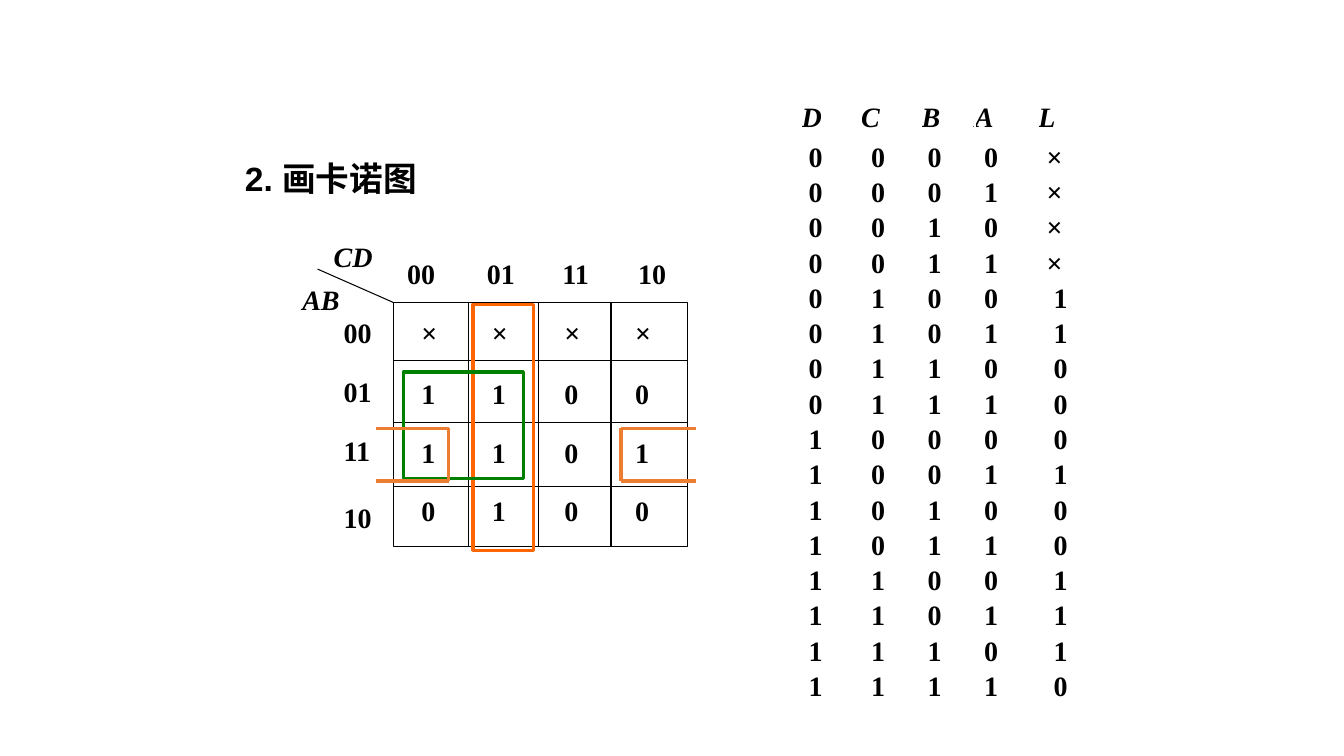
from lxml.etree import SubElement
from pptx import Presentation
from pptx.dml.color import RGBColor
from pptx.enum.shapes import MSO_CONNECTOR, MSO_SHAPE
from pptx.enum.text import MSO_ANCHOR, PP_ALIGN
from pptx.oxml.ns import qn
from pptx.util import Inches, Pt

BLACK = RGBColor(0x00, 0x00, 0x00)
GREEN = RGBColor(0x00, 0x80, 0x00)
ORANGE = RGBColor(0xFF, 0x66, 0x00)
SOFT_ORANGE = RGBColor(0xED, 0x7D, 0x31)

GRAY_CODE = ["00", "01", "11", "10"]
MAP_ROWS = ["××××", "1100", "1101", "0100"]

# Offsets from the left and top edges of the map
COLUMN_EDGES = [0, 0.75, 1.44, 2.16, 2.92]
ROW_EDGES = [0, 0.58, 1.19, 1.83, 2.42]
COLUMN_LABELS = [0.04, 0.83, 1.58, 2.33]
ROW_LABELS = [0.08, 0.67, 1.25, 1.92]
CELL_LEFTS = [0.18, 0.88, 1.6, 2.3]
CELL_TOPS = [0.08, 0.69, 1.27, 1.85]

# Truth table: letter, column width, indent of the values
TRUTH_COLUMNS = [("D", 0.59, 0.07), ("C", 0.6, 0.1), ("B", 0.53, 0.06),
                 ("A", 0.63, 0.09), ("L", 0.6, 0.15)]
OUTPUTS = "××××110001001110"


def write(para, text, **changes):
    span = para.add_run()
    span.text = text
    formats = {"name": "Times New Roman", "size": Pt(20), "bold": True,
               "italic": False, **changes}
    for name, value in formats.items():
        setattr(span.font, name, value)
    span.font.color.rgb = BLACK


def add_label(page, left, top, text, width=0.48, **changes):
    box = page.shapes.add_textbox(Inches(left), Inches(top),
                                  Inches(width), Inches(0.44))
    box.text_frame.word_wrap = True
    write(box.text_frame.paragraphs[0], text, **changes)


def add_line(page, start, end, color=BLACK, weight=0.75):
    points = [Inches(value) for value in (*start, *end)]
    line = page.shapes.add_connector(MSO_CONNECTOR.STRAIGHT, *points)
    line.line.color.rgb = color
    line.line.width = Pt(weight)
    SubElement(line._element.spPr, qn("a:effectLst"))


def add_frame(page, left, top, width, height, color=BLACK, weight=0.75):
    frame = page.shapes.add_shape(MSO_SHAPE.RECTANGLE, Inches(left), Inches(top),
                                  Inches(width), Inches(height))
    frame.shadow.inherit = False
    frame.fill.background()
    frame.line.color.rgb = color
    frame.line.width = Pt(weight)


def add_title(page, left, top, width, height):
    title = page.shapes.title
    place = {"left": left, "top": top, "width": width, "height": height}
    for name, value in place.items():
        setattr(title, name, Inches(value))
    title.text_frame.vertical_anchor = MSO_ANCHOR.TOP
    para = title.text_frame.paragraphs[0]
    para.alignment = PP_ALIGN.LEFT
    write(para, "2. 画卡诺图", name="Arial", size=Pt(24))


def add_karnaugh_map(page, left, top):
    width, height = COLUMN_EDGES[-1], ROW_EDGES[-1]

    # Grid
    add_frame(page, left, top, width, height)
    for edge in ROW_EDGES[1:-1]:
        add_line(page, (left, top + edge), (left + width, top + edge))
    for edge in COLUMN_EDGES[1:-1]:
        add_line(page, (left + edge, top), (left + edge, top + height))

    # Corner with the variable names
    add_line(page, (left - 0.75, top - 0.33), (left, top))
    add_label(page, left - 1, top - 0.25, "AB", 0.57, italic=True)
    add_label(page, left - 0.69, top - 0.67, "CD", 0.59, italic=True)

    # Row and column codes
    for code, row, column in zip(GRAY_CODE, ROW_LABELS, COLUMN_LABELS):
        add_label(page, left - 0.59, top + row, code)
        add_label(page, left + column, top - 0.5, code)

    # Cell values
    for row, values in zip(CELL_TOPS, MAP_ROWS):
        for column, value in zip(CELL_LEFTS, values):
            add_label(page, left + column, top + row, value)


def add_groupings(page, left, top):
    add_frame(page, left + 0.79, top + 0.02, 0.6, 2.44, ORANGE, 2.5)
    add_frame(page, left + 0.1, top + 0.69, 1.19, 1.06, GREEN, 2.5)

    # Open brackets that wrap round the sides of the map
    upper, lower = top + 1.25, top + 1.77
    for outer, inner in ((3, 2.26), (-0.17, 0.55)):
        for level in (upper, lower):
            add_line(page, (left + outer, level), (left + inner, level),
                     SOFT_ORANGE, 2.5)
        add_line(page, (left + inner, upper), (left + inner, lower),
                 SOFT_ORANGE, 2.5)


def add_truth_table(page, left, top):
    header_height, row_height = 0.43, 0.35
    rows = [[letter for letter, _, _ in TRUTH_COLUMNS]]
    rows += [[*f"{number:04b}", output] for number, output in enumerate(OUTPUTS)]
    width = sum(column[1] for column in TRUTH_COLUMNS)
    height = header_height + row_height * len(OUTPUTS)
    table = page.shapes.add_table(len(rows), len(TRUTH_COLUMNS), Inches(left),
                                  Inches(top), Inches(width), Inches(height)).table
    table.first_row = table.horz_banding = False
    for column, (_, column_width, _) in zip(table.columns, TRUTH_COLUMNS):
        column.width = Inches(column_width)

    for number, values in enumerate(rows):
        header = number == 0
        table.rows[number].height = Inches(header_height if header else row_height)
        for index, value in enumerate(values):
            indent = 0 if header else TRUTH_COLUMNS[index][2]
            if value == "×":
                indent = 0.08
            cell = table.cell(number, index)
            cell.fill.background()
            formats = {"margin_left": Inches(indent), "margin_right": 0,
                       "margin_top": 0, "margin_bottom": 0,
                       "vertical_anchor": MSO_ANCHOR.MIDDLE}
            for name, setting in formats.items():
                setattr(cell, name, setting)
            write(cell.text_frame.paragraphs[0], value, italic=header)


def main():
    deck = Presentation()
    deck.slide_width, deck.slide_height = Inches(13.33), Inches(7.5)
    page = deck.slides.add_slide(deck.slide_layouts[5])
    add_title(page, 2.33, 1.52, 2.69, 0.5)
    add_karnaugh_map(page, 3.9, 3)
    add_groupings(page, 3.9, 3)
    add_truth_table(page, 7.95, 0.96)
    deck.save("out.pptx")


if __name__ == "__main__":
    main()
